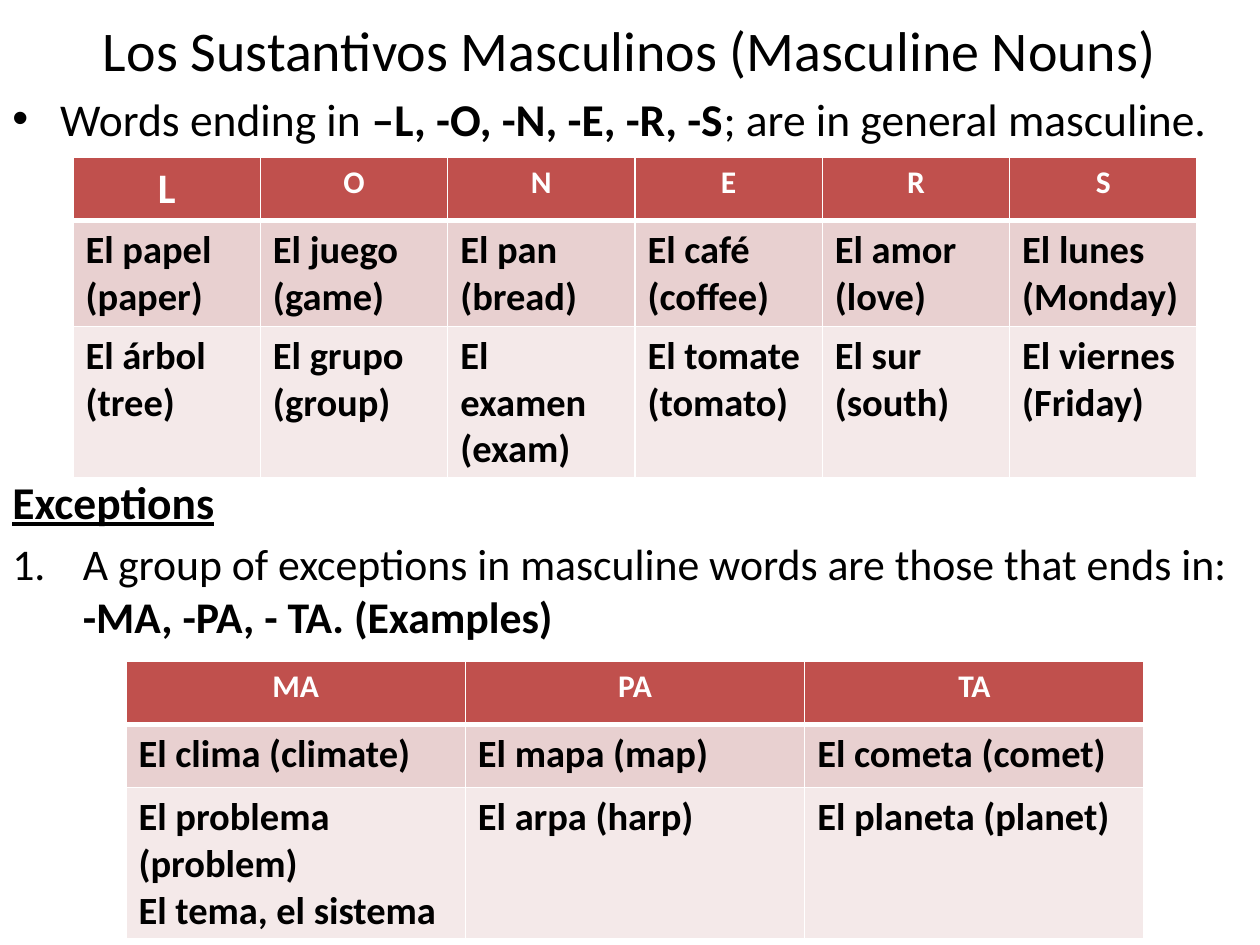
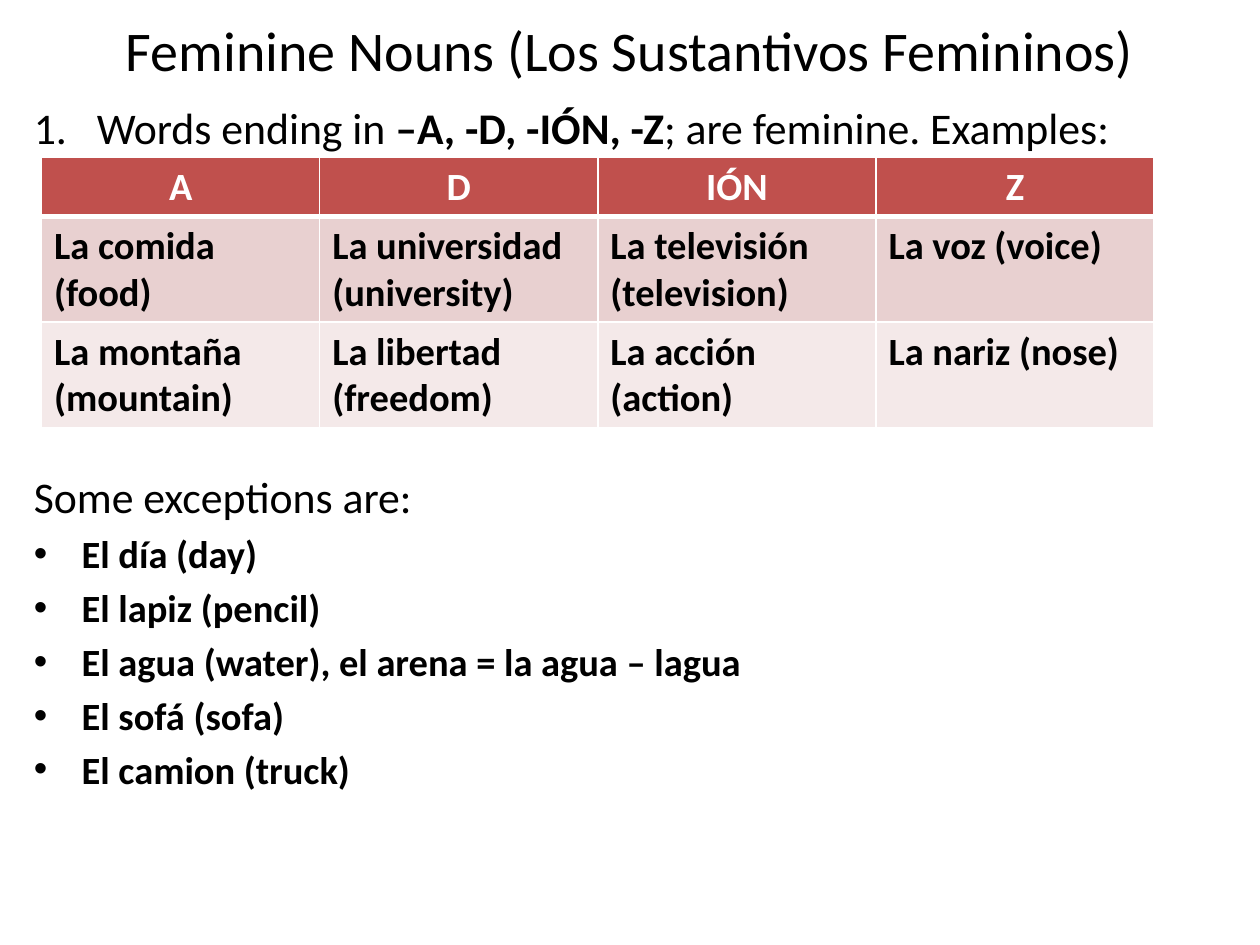
from dataclasses import dataclass

from lxml.etree import SubElement
from pptx import Presentation
from pptx.dml.color import RGBColor
from pptx.enum.text import MSO_ANCHOR, PP_ALIGN
from pptx.oxml.ns import qn
from pptx.util import Inches, Pt


@dataclass(frozen=True)
class Theme:
    font: str = "Calibri"
    ink: str = "000000"
    white: str = "FFFFFF"
    red: str = "C0504D"
    bands: tuple = ("E8D0D0", "F4E9E9")
    title: int = 32
    lead: int = 26
    body: int = 25
    cell: int = 22
    small: int = 18
    thin: int = 1
    thick: int = 3


class Deck:
    def __init__(self, theme):
        self.theme = theme
        self.show = Presentation()
        self.show.slide_width = Inches(10)
        self.show.slide_height = Inches(7.5)
        self.slide = None

    def page(self, title, top, height):
        """Start a slide with its centred title."""
        self.slide = self.show.slides.add_slide(self.show.slide_layouts[6])
        frame = self.box(0.5, top, 9, height)
        frame.vertical_anchor = MSO_ANCHOR.MIDDLE
        para = self.line(frame, [title], self.theme.title)
        para.alignment = PP_ALIGN.CENTER

    def box(self, left, top, width, height):
        spot = [Inches(n) for n in (left, top, width, height)]
        frame = self.slide.shapes.add_textbox(*spot).text_frame
        frame.word_wrap = True
        return frame

    def style(self, para, size, color, bold=None):
        font = para.font
        font.name, font.size, font.bold = self.theme.font, Pt(size), bold
        font.color.rgb = RGBColor.from_string(color)

    def line(self, frame, parts, size, mark=None, indent=0, bold=None):
        """Add a paragraph; every second part is bold."""
        para = frame.paragraphs[0]
        if para.runs:
            para = frame.add_paragraph()
            para.space_before = Pt(0.2 * size)
        if mark:
            self.bullet(para, mark, indent)
        self.style(para, size, self.theme.ink, bold)
        for i, text in enumerate(parts):
            run = para.add_run()
            run.text = text
            if i % 2:
                run.font.bold = True
        return para

    def bullet(self, para, mark, indent):
        props = para._p.get_or_add_pPr()
        props.set("marL", str(Inches(indent)))
        props.set("indent", str(-Inches(indent)))
        if mark == "1.":
            SubElement(props, qn("a:buFont"), typeface="+mj-lt")
            SubElement(props, qn("a:buAutoNum"), type="arabicPeriod")
        else:
            SubElement(props, qn("a:buFont"), typeface="Arial")
            SubElement(props, qn("a:buChar"), char=mark)

    def border(self, cell, side, width):
        edge = SubElement(cell._tc.get_or_add_tcPr(), qn(f"a:ln{side}"),
                          w=str(Pt(width)))
        fill = SubElement(edge, qn("a:solidFill"))
        SubElement(fill, qn("a:srgbClr"), val=self.theme.white)

    def table(self, spot, heights, rows, sizes):
        """Draw a table with a red header and two body bands."""
        t = self.theme
        left, top, width = (Inches(n) for n in spot)
        table = self.slide.shapes.add_table(
            len(rows), len(rows[0]), left, top, width,
            Inches(sum(heights))).table
        table.horz_banding = False
        for col in table.columns:
            col.width = width // len(rows[0])
        for r, (row, height) in enumerate(zip(rows, heights)):
            table.rows[r].height = Inches(height)
            for c, text in enumerate(row):
                cell = table.cell(r, c)
                cell.text = text
                for side in "LRTB":
                    heavy = (r, side) in ((0, "B"), (1, "T"))
                    self.border(cell, side, t.thick if heavy else t.thin)
                cell.fill.solid()
                back = t.bands[r - 1] if r else t.red
                cell.fill.fore_color.rgb = RGBColor.from_string(back)
                for para in cell.text_frame.paragraphs:
                    if r:
                        self.style(para, t.cell, t.ink, True)
                    else:
                        para.alignment = PP_ALIGN.CENTER
                        self.style(para, sizes[c], t.white, True)


def male(deck):
    t = deck.theme
    deck.page("Los Sustantivos Masculinos (Masculine Nouns)", 0.08, 0.62)

    # Rule and its examples
    rule = deck.box(0, 0.67, 10, 0.55)
    deck.line(rule, ["Words ending in ", "–L, -O, -N, -E, -R, -S",
                     "; are in general masculine."], t.lead, "•", 0.38)
    deck.table((0.58, 1.25, 8.92), (0.5, 0.84, 1.2), [
        list("LONERS"),
        ["El papel (paper)", "El juego (game)", "El pan (bread)",
         "El café (coffee)", "El amor (love)", "El lunes (Monday)"],
        ["El árbol (tree)", "El grupo (group)", "El examen (exam)",
         "El tomate (tomato)", "El sur (south)", "El viernes (Friday)"],
    ], [24] + [t.small] * 5)

    # Exceptions
    notes = deck.box(0, 3.71, 10, 1.45)
    head = deck.line(notes, ["Exceptions"], t.lead, bold=True)
    head.font.underline = True
    deck.line(notes, ["A group of exceptions in masculine words are those "
                      "that ends in: ", "-MA, -PA, - TA. (Examples)"],
              t.body, "1.", 0.56)
    deck.table((1, 5.25, 8.08), (0.5, 0.5, 1.2), [
        ["MA", "PA", "TA"],
        ["El clima (climate)", "El mapa (map)", "El cometa (comet)"],
        ["El problema (problem)\nEl tema, el sistema", "El arpa (harp)",
         "El planeta (planet)"],
    ], [t.small] * 3)


def female(deck):
    t = deck.theme
    deck.page("Feminine Nouns (Los Sustantivos Femininos)", 0.03, 0.72)

    # Rule and its examples
    rule = deck.box(0.17, 0.75, 9.67, 0.5)
    deck.line(rule, ["Words ending in ", "–A, -D, -IÓN, -Z",
                     "; are feminine. Examples:"], t.body, "1.", 0.5)
    deck.table((0.33, 1.25, 8.83), (0.45, 0.84, 0.84), [
        ["A", "D", "IÓN", "Z"],
        ["La comida (food)", "La universidad (university)",
         "La televisión (television)", "La voz (voice)"],
        ["La montaña (mountain)", "La libertad (freedom)",
         "La acción (action)", "La nariz (nose)"],
    ], [t.cell] * 4)

    # Exceptions
    notes = deck.box(0.17, 3.68, 9.67, 3.65)
    deck.line(notes, ["Some exceptions are:"], t.body)
    for text in ("El día (day)", "El lapiz (pencil)",
                 "El agua (water), el arena = la agua – lagua",
                 "El sofá (sofa)", "El camion (truck)"):
        deck.line(notes, [text], t.cell, "•", 0.38, bold=True)


def main():
    deck = Deck(Theme())
    male(deck)
    female(deck)
    deck.show.save("out.pptx")


if __name__ == "__main__":
    main()
